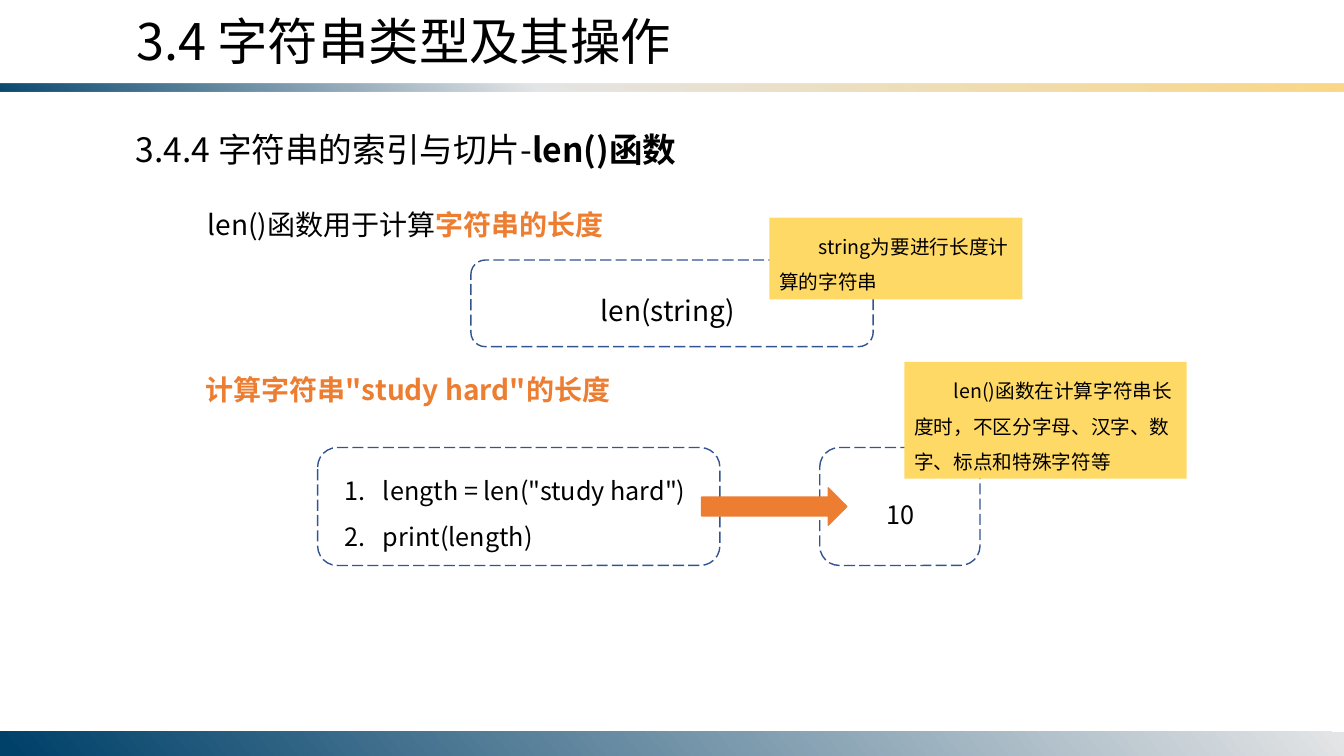
from lxml.etree import SubElement
from pptx import Presentation
from pptx.dml.color import RGBColor
from pptx.enum.dml import MSO_LINE as Dash
from pptx.enum.shapes import MSO_SHAPE as Shape
from pptx.enum.text import MSO_ANCHOR as Anchor, PP_ALIGN as Align
from pptx.oxml import parse_xml
from pptx.oxml.ns import nsdecls, qn
from pptx.util import Pt

PX = 9144  # 100 px to the inch
WIDTH, HEIGHT = 1333, 750
FONT = "Noto Sans CJK SC"
BLACK = RGBColor(0x00, 0x00, 0x00)
ORANGE = RGBColor(0xED, 0x7D, 0x31)
YELLOW = RGBColor(0xFF, 0xD9, 0x66)
NAVY = RGBColor(0x32, 0x54, 0x91)
DEEP_BLUE = RGBColor(0x00, 0x41, 0x6A)
SILVER = RGBColor(0xE4, 0xE5, 0xE6)
SAND = RGBColor(0xFB, 0xD7, 0x86)


def emu(*lengths):
    return [length * PX for length in lengths]


def write(shape, *paragraphs, size, color=BLACK, bold=False, spacing=1.0,
          margin=0, indent=0, numbered=False, anchor=Anchor.TOP):
    """Each paragraph is a list of (text, changes) spans."""
    frame = shape.text_frame
    frame.word_wrap = True
    frame.vertical_anchor = anchor
    frame.margin_left = frame.margin_right = 10 * PX
    frame.margin_top = frame.margin_bottom = 5 * PX
    for number, spans in enumerate(paragraphs):
        para = frame.add_paragraph() if number else frame.paragraphs[0]
        para.alignment = Align.LEFT
        para.line_spacing = spacing
        para.space_before = para.space_after = Pt(0)
        props = para._p.get_or_add_pPr()
        props.set("marL", str(margin * PX))
        props.set("indent", str(indent * PX))
        if numbered:
            SubElement(props, qn("a:buAutoNum"), type="arabicPeriod")
        else:
            SubElement(props, qn("a:buNone"))
        for text, changes in spans:
            span = para.add_run()
            span.text = text
            font = span.font
            font.name, font.size = FONT, Pt(size)
            font.bold = changes.get("bold", bold)
            font.color.rgb = changes.get("color", color)
            SubElement(span._r.get_or_add_rPr(), qn("a:ea"), typeface=FONT)


def add_text(page, box, *paragraphs, **style):
    write(page.shapes.add_textbox(*emu(*box)), *paragraphs, **style)


def add_block(page, kind, box, fill=None, line=None):
    block = page.shapes.add_shape(kind, *emu(*box))
    block.shadow.inherit = False
    if fill is None:
        block.fill.background()
    else:
        block.fill.solid()
        block.fill.fore_color.rgb = fill
    if line is None:
        block.line.fill.background()
    else:
        block.line.color.rgb = line
        block.line.width = Pt(1)
    return block


def add_dashed_frame(page, box):
    add_block(page, Shape.ROUNDED_RECTANGLE, box, line=NAVY).line.dash_style = Dash.LONG_DASH


def add_note(page, box, text):
    note = add_block(page, Shape.RECTANGLE, box, fill=YELLOW)
    write(note, [(text, {})], size=14, spacing=1.5, indent=39, anchor=Anchor.MIDDLE)


def add_band(page, box, stops, angle, alpha=100, flipped=False):
    band = add_block(page, Shape.RECTANGLE, box)
    props = band._element.spPr
    marks = "".join(
        f'<a:gs pos="{place * 1000}"><a:srgbClr val="{color}">'
        f'<a:alpha val="{(alpha if place == 0 else 100) * 1000}"/></a:srgbClr></a:gs>'
        for place, color in stops)
    gradient = parse_xml(
        f'<a:gradFill {nsdecls("a")} rotWithShape="1"><a:gsLst>{marks}</a:gsLst>'
        f'<a:lin ang="{angle * 60000}" scaled="0"/></a:gradFill>')
    props.replace(props.find(qn("a:noFill")), gradient)
    if flipped:
        props.find(qn("a:xfrm")).set("flipV", "1")


def add_bands(page):
    add_band(page, (0, 83, WIDTH, 8), [(0, DEEP_BLUE), (40, SILVER), (100, SAND)],
             50, alpha=95, flipped=True)
    add_band(page, (0, 726, WIDTH, 24), [(0, SILVER), (99, DEEP_BLUE)], 140)


def add_headings(page, left, top):
    title = page.shapes.title
    title.left, title.top, title.width, title.height = emu(left, top, 612, 131)
    write(title, [("3.4 字符串类型及其操作", {})], size=36)
    add_text(page, (left, top + 118, 638, 50),
             [("3.4.4 字符串的索引与切片-", {}), ("len()函数", {"bold": True})], size=24)


def add_syntax(page, left, top):
    add_text(page, (left, top, 556, 44),
             [("len()函数用于计算", {}), ("字符串的长度", {"color": ORANGE, "bold": True})],
             size=20, indent=14)
    add_text(page, (left + 404, top + 69, 162, 60), [("len(string)", {})],
             size=20, spacing=1.5)
    add_dashed_frame(page, (left + 285, top + 57, 399, 86))
    add_note(page, (left + 581, top + 15, 251, 81), "string为要进行长度计算的字符串")


def add_example(page, left, top):
    add_text(page, (left, top, 452, 44), [('计算字符串"study hard"的长度', {})],
             size=20, color=ORANGE, bold=True)
    # Code and its result
    add_text(page, (left + 138, top + 87, 363, 101),
             [('length = len("study hard")', {})], [("print(length)", {})],
             size=18, spacing=1.5, margin=38, indent=-38, numbered=True)
    for offset, width in ((121, 399), (619, 159)):
        add_dashed_frame(page, (left + offset, top + 79, width, 117))
    add_text(page, (left + 675, top + 110, 72, 55), [("10", {})], size=18, spacing=1.5)
    add_block(page, Shape.RIGHT_ARROW, (left + 502, top + 119, 144, 37),
              fill=ORANGE, line=ORANGE)
    add_note(page, (left + 703, top - 6, 280, 116),
             "len()函数在计算字符串长度时，不区分字母、汉字、数字、标点和特殊字符等")


def main():
    deck = Presentation()
    deck.slide_width, deck.slide_height = emu(WIDTH, HEIGHT)
    page = deck.slides.add_slide(deck.slide_layouts[5])
    add_bands(page)
    add_headings(page, 125, 5)
    add_syntax(page, 182, 201)
    add_example(page, 194, 365)
    deck.save("out.pptx")


if __name__ == "__main__":
    main()
